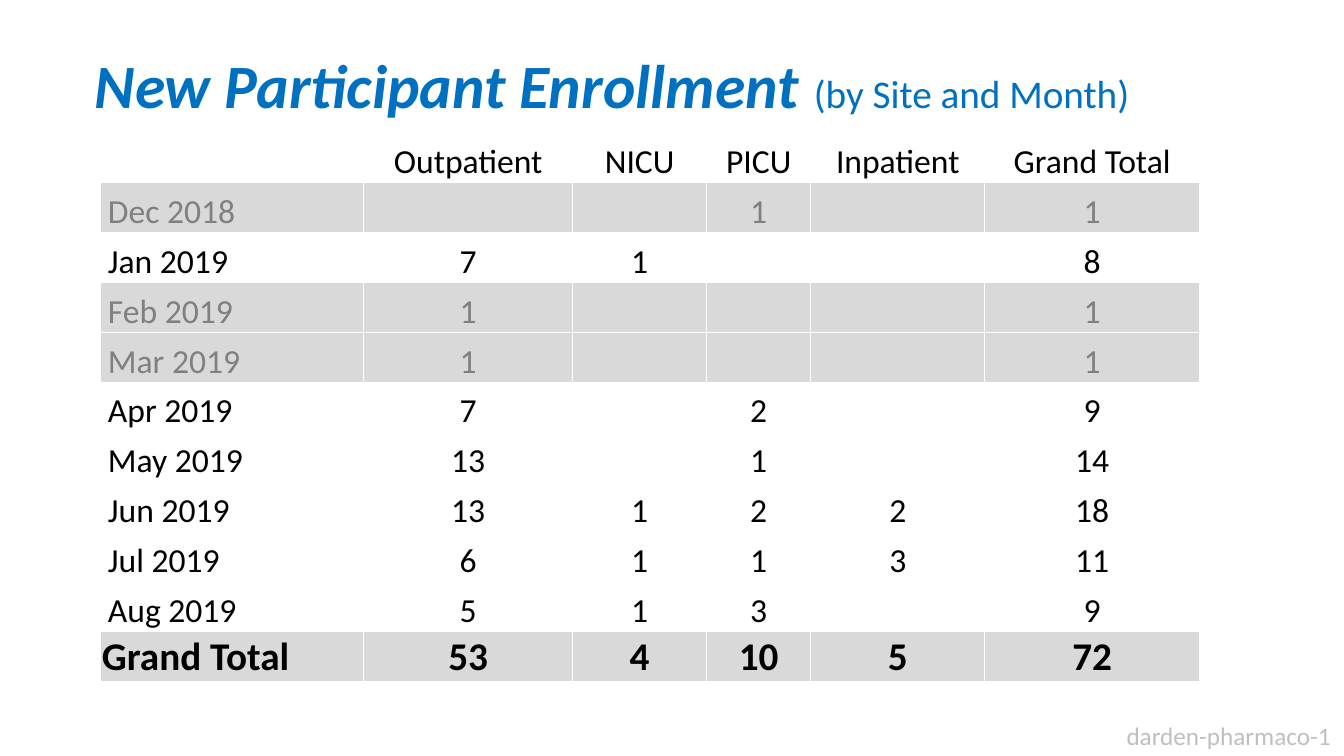
from dataclasses import dataclass

from lxml import etree
from pptx import Presentation
from pptx.dml.color import RGBColor
from pptx.enum.text import MSO_ANCHOR, MSO_AUTO_SIZE, PP_ALIGN
from pptx.oxml.ns import qn
from pptx.slide import Slide
from pptx.table import _Cell
from pptx.util import Cm, Pt

BOTTOM, MIDDLE = MSO_ANCHOR.BOTTOM, MSO_ANCHOR.MIDDLE
LEFT, CENTER = PP_ALIGN.LEFT, PP_ALIGN.CENTER
NO_AUTOFIT, GROW = MSO_AUTO_SIZE.NONE, MSO_AUTO_SIZE.SHAPE_TO_FIT_TEXT
FONT = "Calibri"
COLORS = {
    "title": "0070C0",
    "text": "000000",
    "muted": "808080",
    "band": "D9D9D9",
    "border": "FFFFFF",
    "tag": "BFBFBF",
}
COL_WIDTHS = (6.63, 5.26, 3.38, 2.62, 4.39, 5.41)
ROW_HEIGHT = 1.256
EDGE, INDENT = 0.03, 0.18


@dataclass(frozen=True)
class EnrollmentRow:
    """One table row: its label, counts by site and look."""

    label: str
    values: tuple[str, ...]
    color: str = "text"
    shaded: bool = False
    size: int = 24
    bold: bool = False
    indent: float = INDENT


def low_month(label: str, *values: str) -> EnrollmentRow:
    """Return a greyed month on a shaded band."""
    return EnrollmentRow(label, values, color="muted", shaded=True)


ROWS = (
    EnrollmentRow("", ("Outpatient", "NICU", "PICU", "Inpatient", "Grand Total")),
    low_month("Dec 2018", "", "", "1", "", "1"),
    EnrollmentRow("Jan 2019", ("7", "1", "", "", "8")),
    low_month("Feb 2019", "1", "", "", "", "1"),
    low_month("Mar 2019", "1", "", "", "", "1"),
    EnrollmentRow("Apr 2019", ("7", "", "2", "", "9")),
    EnrollmentRow("May 2019", ("13", "", "1", "", "14")),
    EnrollmentRow("Jun 2019", ("13", "1", "2", "2", "18")),
    EnrollmentRow("Jul 2019", ("6", "1", "1", "3", "11")),
    EnrollmentRow("Aug 2019", ("5", "1", "3", "", "9")),
    EnrollmentRow("Grand Total", ("53", "4", "10", "5", "72"),
                  shaded=True, size=28, bold=True, indent=EDGE),
)


def rgb(name: str) -> RGBColor:
    """Look up a named colour."""
    return RGBColor.from_string(COLORS[name])


def add_title(s: Slide) -> None:
    """Place and format the title placeholder."""
    sp = s.shapes.title
    sp.left, sp.top, sp.width, sp.height = Cm(2.13), Cm(0.38), Cm(29.21), Cm(3.68)
    tf = sp.text_frame
    tf.word_wrap, tf.auto_size, tf.vertical_anchor = True, NO_AUTOFIT, MIDDLE
    p = tf.paragraphs[0]
    p.alignment, p.line_spacing = LEFT, 0.9
    for text, size, strong in (("New Participant Enrollment ", 44, True),
                               ("(by Site and Month)", 28, False)):
        r = p.add_run()
        r.text = text
        r.font.name, r.font.size = FONT, Pt(size)
        r.font.bold = r.font.italic = strong
        r.font.color.rgb = rgb("title")


def add_tag(s: Slide) -> None:
    """Add the label in the bottom right corner."""
    tf = s.shapes.add_textbox(Cm(28.14), Cm(18.03), Cm(5.72), Cm(1.02)).text_frame
    tf.word_wrap, tf.auto_size = False, GROW
    p = tf.paragraphs[0]
    p.text = "darden-pharmaco-1"
    p.font.name, p.font.size = FONT, Pt(18)
    p.font.color.rgb = rgb("tag")


def add_borders(cell: _Cell) -> None:
    """Draw a thin line on all four sides of a cell."""
    tc_pr = cell._tc.get_or_add_tcPr()
    for i, side in enumerate(("a:lnL", "a:lnR", "a:lnT", "a:lnB")):
        ln = etree.Element(qn(side), w=str(Pt(1)))
        fill = etree.SubElement(ln, qn("a:solidFill"))
        etree.SubElement(fill, qn("a:srgbClr"), val=COLORS["border"])
        tc_pr.insert(i, ln)


def fill_cell(cell: _Cell, text: str, row: EnrollmentRow, is_label: bool) -> None:
    """Write and format one table cell."""
    cell.vertical_anchor = BOTTOM
    cell.margin_left = Cm(row.indent if is_label else EDGE)
    cell.margin_right = cell.margin_top = Cm(EDGE)
    cell.margin_bottom = 0
    if row.shaded:
        cell.fill.solid()
        cell.fill.fore_color.rgb = rgb("band")
    else:
        cell.fill.background()
    add_borders(cell)
    p = cell.text_frame.paragraphs[0]
    p.text = text
    p.alignment = LEFT if is_label else CENTER
    p.font.name, p.font.size, p.font.bold = FONT, Pt(row.size), row.bold
    p.font.color.rgb = rgb(row.color)


def add_enrollment_table(s: Slide) -> None:
    """Add the table of enrollment by site and month."""
    table = s.shapes.add_table(
        len(ROWS), len(COL_WIDTHS), Cm(2.54), Cm(3.35),
        Cm(sum(COL_WIDTHS)), Cm(ROW_HEIGHT * len(ROWS)),
    ).table
    table.first_row = table.horz_banding = False
    for column, width in zip(table.columns, COL_WIDTHS):
        column.width = Cm(width)
    for i, row in enumerate(ROWS):
        table.rows[i].height = Cm(ROW_HEIGHT)
        for j, text in enumerate((row.label, *row.values)):
            fill_cell(table.cell(i, j), text, row, j == 0)


def main() -> None:
    """Build the slide and save it."""
    prs = Presentation()
    prs.slide_width, prs.slide_height = Cm(33.87), Cm(19.05)
    s = prs.slides.add_slide(prs.slide_layouts[5])
    add_title(s)
    add_tag(s)
    add_enrollment_table(s)
    prs.save("out.pptx")


if __name__ == "__main__":
    main()
